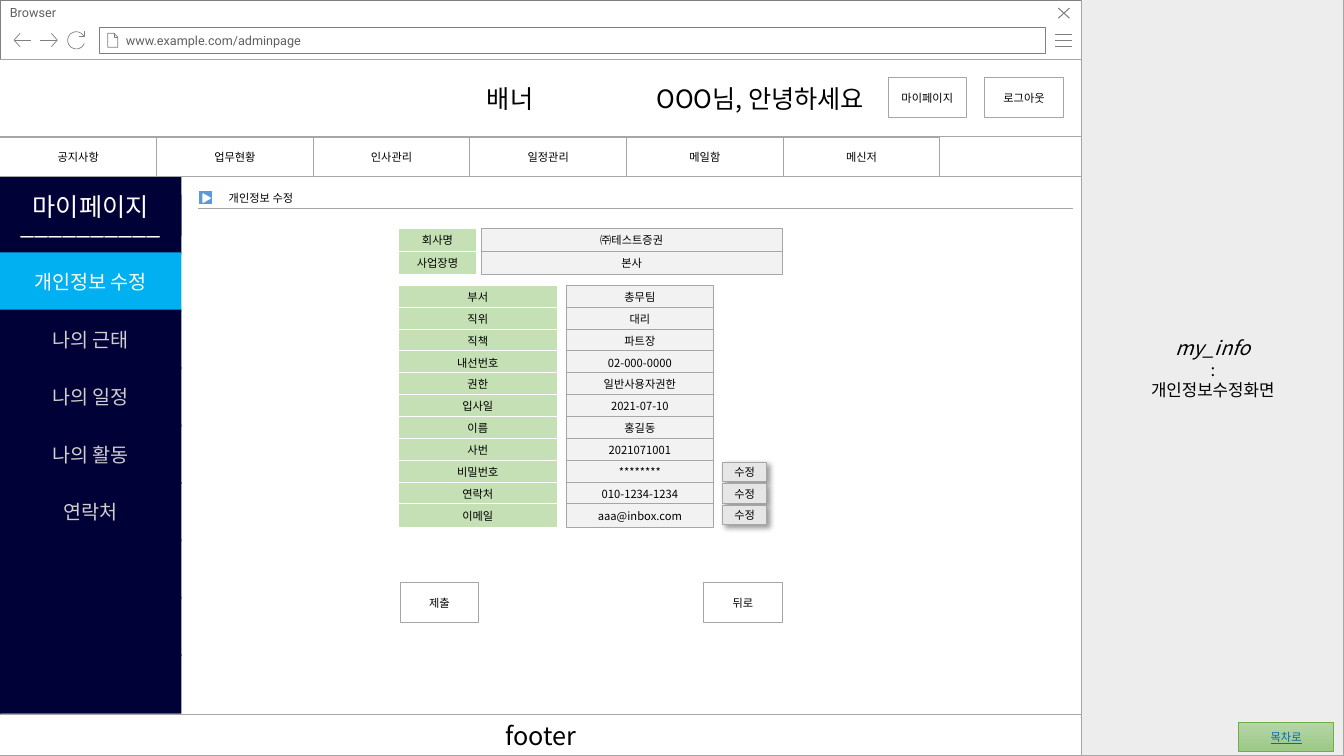
import math

import pptx
import pptx.dml.color
import pptx.enum.shapes
import pptx.enum.text
import pptx.oxml
import pptx.oxml.ns
import pptx.util

Pt = pptx.util.Pt
RGBColor = pptx.dml.color.RGBColor
Shapes = pptx.enum.shapes.MSO_SHAPE
Align = pptx.enum.text.PP_ALIGN
Anchor = pptx.enum.text.MSO_ANCHOR
qn = pptx.oxml.ns.qn

# Content
MENU = ["공지사항", "업무현황", "인사관리", "일정관리", "메일함", "메신저"]
SIDEBAR = ["개인정보 수정", "나의 근태", "나의 일정", "나의 활동", "연락처", "", "", ""]
COMPANY = [("회사명", "㈜테스트증권"), ("사업장명", "본사")]
PERSON = [
    ("부서", "총무팀"), ("직위", "대리"), ("직책", "파트장"),
    ("내선번호", "02-000-0000"), ("권한", "일반사용자권한"),
    ("입사일", "2021-07-10"), ("이름", "홍길동"), ("사번", "2021071001"),
    ("비밀번호", "********"), ("연락처", "010-1234-1234"),
    ("이메일", "aaa@inbox.com"),
]
EDITABLE = {"비밀번호", "연락처", "이메일"}
BUTTONS = [("마이페이지", 634.3, 55.4), ("로그아웃", 703.4, 55.4),
           ("제출", 285.8, 416.2), ("뒤로", 502.6, 416.2)]
DESCRIPTION = [("my_info", 14, True), (":", 12, False), ("개인정보수정화면", 12, False)]

# Browser icons: line width, then strokes as lists of points
RELOAD_ARC = [(54.5 + 6.1 * math.cos(math.radians(angle)),
               28.8 + 6.1 * math.sin(math.radians(angle)))
              for angle in range(20, 336, 9)]
ICONS = [
    (0.5, [[(753.8, y), (765.4, y)] for y in (24.5, 28.8, 33.1)]),
    (0.75, [[(763.9, 5.8), (756, 13)], [(756, 5.8), (763.9, 13)]]),
    (0.5, [[(77, 23.8), (77, 33.8), (84.2, 33.8), (84.2, 26.6), (81.4, 23.8), (77, 23.8)],
           [(81.4, 23.8), (81.4, 26.6), (84.2, 26.6)]]),
    (0.5, [[(14.4, 23.8), (10.1, 28.6), (14.4, 33.4)], [(10.1, 28.6), (21.9, 28.6)]]),
    (0.5, [[(36.7, 23.8), (41, 28.6), (36.7, 33.4)], [(41, 28.6), (28.8, 28.6)]]),
    (0.5, [RELOAD_ARC, [(60.5, 22.3), (60.5, 25.9), (56.2, 25.9)]]),
]

# Format
FONT, BROWSER_FONT = "Noto Sans CJK KR", "Roboto"
WHITE = RGBColor(0xFF, 0xFF, 0xFF)
BLACK = RGBColor(0, 0, 0)
CHROME = RGBColor(0x80, 0x80, 0x80)
CHROME_TEXT = RGBColor(0x5F, 0x5F, 0x5F)
BORDER = RGBColor(0xA6, 0xA6, 0xA6)
RULE = RGBColor(0xA5, 0xA5, 0xA5)
PANEL = RGBColor(0xED, 0xED, 0xED)
NAVY = RGBColor(0x00, 0x01, 0x36)
SELECTED = RGBColor(0x00, 0xB0, 0xF0)
MUTED = RGBColor(0xD0, 0xCE, 0xCE)
LABEL = RGBColor(0xC5, 0xE0, 0xB4)
VALUE = RGBColor(0xF2, 0xF2, 0xF2)
EDIT = RGBColor(0xE7, 0xE6, 0xE6)
MARKER = RGBColor(0x5B, 0x9B, 0xD5)
LINK = RGBColor(0x05, 0x63, 0xC1)
GREEN = RGBColor(0x70, 0xAD, 0x47)
GREEN_TOP = RGBColor(0xB5, 0xD5, 0xA7)
GREEN_BOTTOM = RGBColor(0x9C, 0xC9, 0x87)

# Layout
WINDOW_WIDTH, CHROME_HEIGHT = 772.6, 42.5
SIDEBAR_WIDTH, SIDEBAR_HEIGHT, SIDEBAR_PITCH = 129.6, 42.5, 41
MENU_PITCH = 111.9
ROW_HEIGHT = 16.6

deck = pptx.Presentation()
deck.slide_width, deck.slide_height = Pt(960), Pt(540)
page = deck.slides.add_slide(deck.slide_layouts[5])


def write(para, text, size=8, color=BLACK, font=FONT, italic=False,
          underline=False, align=Align.CENTER):
    para.alignment = align
    span = para.add_run()
    span.text = text
    span.font.size = Pt(size)
    span.font.color.rgb = color
    span.font.name = font
    span.font.italic = italic
    span.font.underline = underline
    east_asian = pptx.oxml.parse_xml(f'<a:ea {pptx.oxml.ns.nsdecls("a")} typeface="{font}"/>')
    span._r.get_or_add_rPr().append(east_asian)


def set_frame(frame, left=0, top=0, right=0, bottom=0, anchor=Anchor.MIDDLE):
    frame.word_wrap = True
    frame.vertical_anchor = anchor
    frame.margin_left, frame.margin_top = Pt(left), Pt(top)
    frame.margin_right, frame.margin_bottom = Pt(right), Pt(bottom)


def add_box(left, top, width, height, fill=WHITE, line=BORDER, weight=0.75,
            text="", kind=Shapes.RECTANGLE, margins=None, **style):
    box = page.shapes.add_shape(kind, Pt(left), Pt(top), Pt(width), Pt(height))
    box.shadow.inherit = False
    box.fill.solid()
    box.fill.fore_color.rgb = fill
    if line is None:
        box.line.fill.background()
    else:
        box.line.color.rgb = line
        box.line.width = Pt(weight)
    set_frame(box.text_frame, **(margins or {}))
    if text:
        write(box.text_frame.paragraphs[0], text, **style)
    return box


def add_icon(weight, strokes):
    tenths = [[(x * 10, y * 10) for x, y in stroke] for stroke in strokes]
    builder = page.shapes.build_freeform(*tenths[0][0], scale=Pt(1) / 10)
    for number, stroke in enumerate(tenths):
        if number:
            builder.move_to(*stroke[0])
        builder.add_line_segments(stroke[1:], close=False)
    icon = builder.convert_to_shape()
    icon.shadow.inherit = False
    icon.fill.background()
    icon.line.color.rgb = CHROME
    icon.line.width = Pt(weight)


def add_shadow(box):
    effects = box.element.spPr.find(qn("a:effectLst"))
    effects.append(pptx.oxml.parse_xml(
        f'<a:outerShdw {pptx.oxml.ns.nsdecls("a")} blurRad="{Pt(4)}" dist="{Pt(3)}" '
        'dir="2700000" algn="tl" rotWithShape="0"><a:srgbClr val="000000">'
        '<a:alpha val="40000"/></a:srgbClr></a:outerShdw>'))


def add_form(rows, top, pitch, label_width, value_left, value_width):
    for number, (label, value) in enumerate(rows):
        row_top = top + number * pitch
        add_box(284.4, row_top, label_width, ROW_HEIGHT, LABEL, WHITE, text=label)
        add_box(value_left, row_top, value_width, ROW_HEIGHT, VALUE, text=value)


# Browser window
browser_text = dict(size=9, color=CHROME_TEXT, font=BROWSER_FONT, align=Align.LEFT)
add_box(0, CHROME_HEIGHT, WINDOW_WIDTH, 540 - CHROME_HEIGHT, line=CHROME, weight=0.5)
add_box(0, 0, WINDOW_WIDTH, CHROME_HEIGHT, line=CHROME, weight=0.5, text="Browser",
        margins=dict(left=7.2, top=3.6, anchor=Anchor.TOP), **browser_text)
add_box(71.3, 19.4, 675.4, 18.7, line=CHROME, weight=0.5,
        text="www.example.com/adminpage", margins=dict(left=18.7), **browser_text)
for weight, strokes in ICONS:
    add_icon(weight, strokes)

# Description panel
panel = add_box(WINDOW_WIDTH, 0, 960 - WINDOW_WIDTH, 540, PANEL, margins=dict(bottom=14.6))
for number, (text, size, italic) in enumerate(DESCRIPTION):
    frame = panel.text_frame
    para = frame.add_paragraph() if number else frame.paragraphs[0]
    write(para, text, size=size, italic=italic)

# Sidebar
add_box(0, 139, SIDEBAR_WIDTH, SIDEBAR_HEIGHT, NAVY, None, text="__________", size=18, color=WHITE)
add_box(0, 126, SIDEBAR_WIDTH, SIDEBAR_HEIGHT, NAVY, None, text="마이페이지", size=18, color=WHITE)
for number, text in enumerate(SIDEBAR):
    add_box(0, 180.2 + number * SIDEBAR_PITCH, SIDEBAR_WIDTH, SIDEBAR_HEIGHT,
            NAVY if number else SELECTED, None, text=text, size=14,
            color=MUTED if number else WHITE)

# Footer, banner and menu
add_box(0, 510.5, WINDOW_WIDTH, 29.5, text="footer", size=18)
banner = add_box(0, CHROME_HEIGHT, WINDOW_WIDTH, 55, text="배너\tOOO님, 안녕하세요",
                 size=18, align=Align.LEFT, margins=dict(left=347.8))
banner.text_frame.paragraphs[0]._p.get_or_add_pPr().append(pptx.oxml.parse_xml(
    f'<a:tabLst {pptx.oxml.ns.nsdecls("a")}><a:tab pos="{Pt(121)}" algn="l"/></a:tabLst>'))
add_box(0, 97.5, WINDOW_WIDTH, 28.5)
for number, text in enumerate(MENU):
    add_box(number * MENU_PITCH, 97.9, MENU_PITCH, 28.1, text=text)

# Page heading
add_box(142.6, 136.8, 8.6, 8.6, MARKER, MARKER, 1)
add_box(144.7, 139, 5.8, 5, WHITE, WHITE, 1, kind=Shapes.ISOSCELES_TRIANGLE).rotation = 90
title = page.shapes.title
title.left, title.top, title.width, title.height = Pt(156.2), Pt(132.5), Pt(266.4), Pt(17.3)
set_frame(title.text_frame, left=7.2)
write(title.text_frame.paragraphs[0], "개인정보 수정", align=Align.LEFT)
title.element.getparent().append(title.element)
rule = page.shapes.add_connector(pptx.enum.shapes.MSO_CONNECTOR.STRAIGHT,
                                 Pt(141.1), Pt(148.5), Pt(766.1), Pt(148.5))
rule.line.color.rgb = RULE
rule.line.width = Pt(0.5)
rule.element.spPr.append(pptx.oxml.parse_xml(f'<a:effectLst {pptx.oxml.ns.nsdecls("a")}/>'))

# Link to the contents page
contents = add_box(884.9, 516.2, 67.7, 20.2, line=GREEN, weight=0.5, text="목차로",
                   color=LINK, underline=True)
contents.fill.gradient()
contents.fill.gradient_angle = 270
for stop, color in zip(contents.fill.gradient_stops, (GREEN_TOP, GREEN_BOTTOM)):
    stop.color.rgb = color

# Forms and buttons
add_form(COMPANY, 163.3, 16.2, 56.2, 343.6, 215.3)
person_top, person_pitch = 203.8, 15.62
add_form(PERSON, person_top, person_pitch, 113.8, 404.6, 105.1)
for number, (label, value) in enumerate(PERSON):
    if label in EDITABLE:
        add_shadow(add_box(516.2, person_top + number * person_pitch + 1.3, 31.6, 13.7,
                           EDIT, text="수정"))
for text, left, top in BUTTONS:
    add_box(left, top, 56.2, 28.8, text=text)

deck.save("out.pptx")
